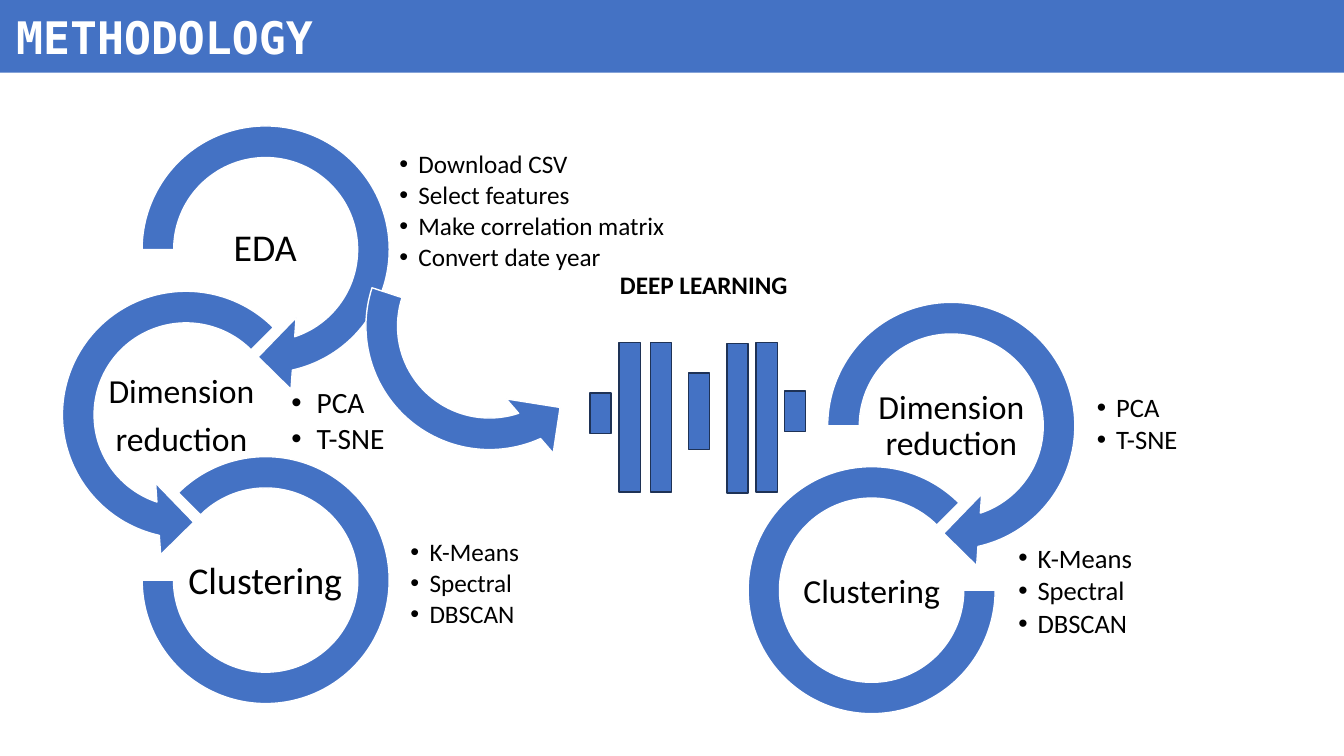
"""Build the methodology slide: two clustering pipelines linked by deep learning."""
import dataclasses
import typing

import lxml.etree
import pptx
import pptx.dml.color
import pptx.enum.shapes
import pptx.enum.text
import pptx.oxml.ns
import pptx.util

PX = 9144
BLUE = pptx.dml.color.RGBColor(0x44, 0x72, 0xC4)
NAVY = pptx.dml.color.RGBColor(0x1E, 0x32, 0x56)
WHITE = pptx.dml.color.RGBColor(0xFF, 0xFF, 0xFF)
BLACK = pptx.dml.color.RGBColor(0, 0, 0)
SHAPE = pptx.enum.shapes.MSO_SHAPE
ALIGN = pptx.enum.text.PP_ALIGN
ANCHOR = pptx.enum.text.MSO_ANCHOR
COMPARISON_LAYOUT = 4


@dataclasses.dataclass(frozen=True)
class Box:
    left: int
    top: int
    width: int
    height: int

    def emu(self) -> tuple[int, ...]:
        return tuple(PX * length for length in dataclasses.astuple(self))


@dataclasses.dataclass(frozen=True)
class Ring:
    kind: SHAPE
    box: Box
    adjustments: tuple[float, ...]
    rotation: float = 0
    flipped: bool = False


@dataclasses.dataclass(frozen=True)
class Text:
    box: Box
    lines: tuple[str, ...]
    size: int
    indent: int = 0
    bold: bool = False
    spacing: float = 0.9
    after: float = 0.35
    anchor: ANCHOR = ANCHOR.MIDDLE
    inset: int = 2


def arrow(kind: SHAPE, left: int, top: int, end: float, start: float, **turn: typing.Any) -> Ring:
    return Ring(kind, Box(left, top, 285, 285), (0.11, 11.423, end, start, 0.125), **turn)


def arc(left: int, top: int, start: float, end: float) -> Ring:
    return Ring(SHAPE.BLOCK_ARC, Box(left, top, 245, 245), (start, end, 0.127))


RINGS = (
    arrow(SHAPE.CIRCULAR_ARROW, 121, 105, 45, 108),
    arrow(SHAPE.LEFT_CIRCULAR_ARROW, 42, 269, 63, 189),
    arc(141, 453, 135, 108),
    arrow(SHAPE.CIRCULAR_ARROW, 343, 181, 45, 183.027, rotation=323.1, flipped=True),
    arrow(SHAPE.CIRCULAR_ARROW, 801, 280, 45, 108),
    arc(742, 463, 0, 189),
)
BAR_WIDTH = 21
BARS = ((585, 390, 40), (614, 340, 148), (645, 340, 148), (683, 370, 76),
        (721, 341, 148), (750, 340, 148), (778, 388, 40))
REDUCTIONS = ("PCA", "T-SNE")
CLUSTERINGS = ("K-Means", "Spectral", "DBSCAN")
LISTS = (
    Text(Box(395, 153, 288, 114),
         ("Download CSV", "Select features", "Make correlation matrix", "Convert date year"),
         18, 19, after=0.15, inset=1),
    Text(Box(406, 523, 171, 114), CLUSTERINGS, 18, 19, after=0.15, inset=1),
    Text(Box(1086, 365, 171, 113), REDUCTIONS, 19, 19, after=0.15),
    Text(Box(1008, 531, 171, 113), CLUSTERINGS, 19, 19, after=0.15),
    Text(Box(287, 362, 171, 114), REDUCTIONS, 21, 25, after=0.15),
)
LABELS = (
    Text(Box(605, 262, 186, 71), ("DEEP LEARNING",), 18, bold=True, spacing=1, after=0,
         anchor=ANCHOR.TOP, inset=5),
    Text(Box(184, 208, 158, 79), ("EDA",), 27),
    Text(Box(73, 375, 214, 76), ("Dimension", "reduction"), 24),
    Text(Box(184, 538, 158, 79), ("Clustering",), 27),
    Text(Box(864, 383, 159, 80), ("Dimension reduction",), 24),
    Text(Box(785, 548, 159, 80), ("Clustering",), 24),
)


def place(shape: typing.Any, box: Box) -> None:
    shape.left, shape.top, shape.width, shape.height = box.emu()


def add_run(paragraph: typing.Any, text: str, size: int, font: str, bold: bool,
            color: pptx.dml.color.RGBColor) -> None:
    run = paragraph.add_run()
    run.text = text
    run.font.size = pptx.util.Pt(size)
    run.font.name = font
    run.font.bold = bold
    run.font.color.rgb = color


def prepare_frame(shape: typing.Any, anchor: ANCHOR, inset: int) -> typing.Any:
    frame = shape.text_frame
    frame.word_wrap = True
    frame.auto_size = pptx.enum.text.MSO_AUTO_SIZE.NONE
    frame.vertical_anchor = anchor
    frame.margin_left = frame.margin_right = inset * PX
    frame.margin_top = frame.margin_bottom = min(inset, 5) * PX
    return frame


def add_bullet(paragraph: typing.Any, indent: int) -> None:
    properties = paragraph._p.get_or_add_pPr()
    properties.set("marL", str(indent * PX))
    properties.set("indent", str(-indent * PX))
    for tag, name, value in (("a:buFont", "typeface", "Arial"), ("a:buChar", "char", "•")):
        lxml.etree.SubElement(properties, pptx.oxml.ns.qn(tag)).set(name, value)


def write_text(shape: typing.Any, text: Text) -> None:
    place(shape, text.box)
    frame = prepare_frame(shape, text.anchor, text.inset)
    for number, line in enumerate(text.lines):
        paragraph = frame.add_paragraph() if number else frame.paragraphs[0]
        paragraph.alignment = ALIGN.LEFT if text.indent else ALIGN.CENTER
        paragraph.line_spacing = text.spacing
        paragraph.space_before = pptx.util.Pt(0)
        paragraph.space_after = pptx.util.Pt(text.after * text.size)
        if text.indent:
            add_bullet(paragraph, text.indent)
        add_run(paragraph, line, text.size, "Calibri", text.bold, BLACK)


def write_title(title: typing.Any) -> None:
    place(title, Box(0, 0, 1333, 72))
    title.fill.solid()
    title.fill.fore_color.rgb = BLUE
    paragraph = prepare_frame(title, ANCHOR.MIDDLE, 16).paragraphs[0]
    paragraph.alignment = ALIGN.LEFT
    add_run(paragraph, "METHODOLOGY", 32, "DejaVu Sans Mono", True, WHITE)


def add_blue_shape(shapes: typing.Any, kind: SHAPE, box: Box,
                   outline: pptx.dml.color.RGBColor) -> typing.Any:
    shape = shapes.add_shape(kind, *box.emu())
    shape.shadow.inherit = False
    shape.fill.solid()
    shape.fill.fore_color.rgb = BLUE
    shape.line.color.rgb = outline
    shape.line.width = pptx.util.Pt(1)
    return shape


def add_ring(shapes: typing.Any, ring: Ring) -> None:
    shape = add_blue_shape(shapes, ring.kind, ring.box, WHITE)
    for index, value in enumerate(ring.adjustments):
        shape.adjustments[index] = value
    shape.rotation = ring.rotation
    if ring.flipped:
        shape.element.spPr.get_or_add_xfrm().set("flipH", "1")


def main() -> None:
    presentation = pptx.Presentation()
    presentation.slide_width = 1333 * PX
    presentation.slide_height = 750 * PX
    slide = presentation.slides.add_slide(presentation.slide_layouts[COMPARISON_LAYOUT])
    shapes = slide.shapes
    write_title(shapes.title)
    bodies = iter(list(slide.placeholders)[1:])
    network = shapes.add_group_shape()
    for left, top, height in BARS:
        add_blue_shape(network.shapes, SHAPE.RECTANGLE, Box(left, top, BAR_WIDTH, height), NAVY)
    for ring in RINGS:
        add_ring(shapes, ring)
    for bullets in LISTS:
        body = next(bodies, None)
        write_text(shapes.add_textbox(*bullets.box.emu()) if body is None else body, bullets)
    for label in LABELS:
        write_text(shapes.add_textbox(*label.box.emu()), label)
    presentation.save("out.pptx")


if __name__ == "__main__":
    main()
